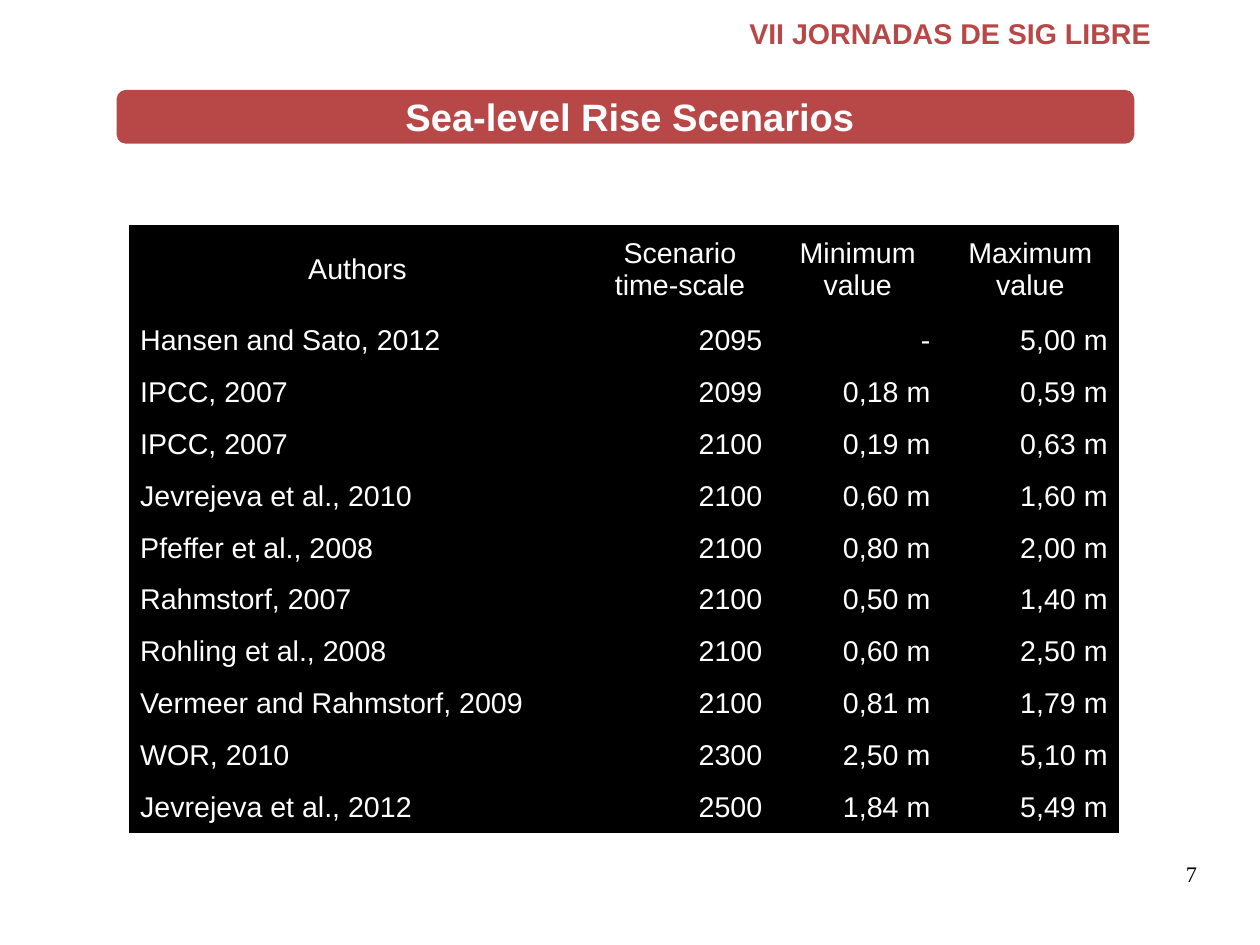
from dataclasses import dataclass

from pptx import Presentation
from pptx.dml.color import RGBColor
from pptx.enum.shapes import MSO_SHAPE
from pptx.enum.text import MSO_ANCHOR, MSO_AUTO_SIZE, PP_ALIGN
from pptx.oxml.ns import qn
from pptx.util import Cm, Inches, Pt

LEFT, CENTER, RIGHT = PP_ALIGN.LEFT, PP_ALIGN.CENTER, PP_ALIGN.RIGHT
TOP, MIDDLE = MSO_ANCHOR.TOP, MSO_ANCHOR.MIDDLE
FIXED, GROW = MSO_AUTO_SIZE.NONE, MSO_AUTO_SIZE.SHAPE_TO_FIT_TEXT
ROUNDED = MSO_SHAPE.ROUNDED_RECTANGLE
SLIDE_WIDTH, SLIDE_HEIGHT = Cm(28), Cm(21)
NO_GRID_STYLE = "{2D5ABB26-0587-4C30-8999-92F81FD0307C}"


@dataclass(frozen=True)
class Theme:
    red: RGBColor = RGBColor(0xB8, 0x47, 0x47)
    white: RGBColor = RGBColor(0xFF, 0xFF, 0xFF)
    black: RGBColor = RGBColor(0, 0, 0)
    sans: str = "Arial"
    serif: str = "Times New Roman"
    title_size: int = 24
    body_size: int = 18
    number_size: int = 14


THEME = Theme()


@dataclass(frozen=True)
class Region:
    left: float
    top: float
    width: float
    height: float

    def box(self) -> tuple[int, int, int, int]:
        return (across(self.left), down(self.top),
                across(self.width), down(self.height))


@dataclass(frozen=True)
class TextStyle:
    size: int
    color: RGBColor
    align: PP_ALIGN
    font: str = THEME.sans
    bold: bool = False


@dataclass(frozen=True)
class Label:
    text: str
    region: Region
    style: TextStyle
    anchor: MSO_ANCHOR = TOP
    wrap: bool = True
    inset: tuple[float, float] = (0, 0)


@dataclass(frozen=True)
class Column:
    heading: str
    width: float
    align: PP_ALIGN


@dataclass(frozen=True)
class Scenario:
    authors: str
    year: str
    minimum: str
    maximum: str

    def values(self) -> list[str]:
        return [self.authors, self.year, self.minimum, self.maximum]


BANNER = Region(9.26, 9.52, 80.76, 5.68)
TABLE = Region(10.22, 23.77, 78.59, 64.45)
HEADING_HEIGHT = 9.55

LABELS = [
    Label("Sea-level Rise Scenarios", Region(4.99, 3.99, 90.02, 16.69),
          TextStyle(THEME.title_size, THEME.white, CENTER, bold=True), MIDDLE),
    Label("VII JORNADAS DE SIG LIBRE", Region(58.58, 1.05, 34, 4.72),
          TextStyle(THEME.body_size, THEME.red, LEFT, bold=True),
          wrap=False, inset=(0.1, 0.05)),
    Label("7", Region(71.69, 91.05, 23.32, 6.89),
          TextStyle(THEME.number_size, THEME.black, RIGHT, THEME.serif)),
]

COLUMNS = [
    Column("Authors", 36.3, LEFT),
    Column("Scenario time-scale", 14.88, RIGHT),
    Column("Minimum value", 13.34, RIGHT),
    Column("Maximum value", 14.07, RIGHT),
]

SCENARIOS = [
    Scenario("Hansen and Sato, 2012", "2095", "-", "5,00 m"),
    Scenario("IPCC, 2007", "2099", "0,18 m", "0,59 m"),
    Scenario("IPCC, 2007", "2100", "0,19 m", "0,63 m"),
    Scenario("Jevrejeva et al., 2010", "2100", "0,60 m", "1,60 m"),
    Scenario("Pfeffer et al., 2008", "2100", "0,80 m", "2,00 m"),
    Scenario("Rahmstorf, 2007", "2100", "0,50 m", "1,40 m"),
    Scenario("Rohling et al., 2008", "2100", "0,60 m", "2,50 m"),
    Scenario("Vermeer and Rahmstorf, 2009", "2100", "0,81 m", "1,79 m"),
    Scenario("WOR, 2010", "2300", "2,50 m", "5,10 m"),
    Scenario("Jevrejeva et al., 2012", "2500", "1,84 m", "5,49 m"),
]


def across(percent: float) -> int:
    return round(SLIDE_WIDTH * percent / 100)


def down(percent: float) -> int:
    return round(SLIDE_HEIGHT * percent / 100)


def write_text(frame, text: str, style: TextStyle) -> None:
    paragraph = frame.paragraphs[0]
    paragraph.text = text
    paragraph.alignment = style.align
    font = paragraph.font
    font.name, font.size, font.bold = style.font, Pt(style.size), style.bold
    font.color.rgb = style.color


def draw_banner(slide) -> None:
    shape = slide.shapes.add_shape(ROUNDED, *BANNER.box())
    shape.shadow.inherit = False
    shape.fill.solid()
    shape.fill.fore_color.rgb = THEME.red
    shape.line.fill.background()


def draw_label(slide, label: Label) -> None:
    frame = slide.shapes.add_textbox(*label.region.box()).text_frame
    frame.auto_size = FIXED if label.wrap else GROW
    frame.word_wrap = label.wrap
    frame.vertical_anchor = label.anchor
    frame.margin_left = frame.margin_right = Inches(label.inset[0])
    frame.margin_top = frame.margin_bottom = Inches(label.inset[1])
    write_text(frame, label.text, label.style)


def draw_table(slide) -> None:
    table = slide.shapes.add_table(
        len(SCENARIOS) + 1, len(COLUMNS), *TABLE.box()).table
    table.horz_banding = False
    table._tbl.tblPr.find(qn("a:tableStyleId")).text = NO_GRID_STYLE
    scenario_height = (TABLE.height - HEADING_HEIGHT) / len(SCENARIOS)
    for index, row in enumerate(table.rows):
        row.height = down(scenario_height if index else HEADING_HEIGHT)
    rows = [[column.heading for column in COLUMNS]]
    rows += [scenario.values() for scenario in SCENARIOS]
    for column_index, column in enumerate(COLUMNS):
        table.columns[column_index].width = across(column.width)
        for row_index, values in enumerate(rows):
            cell = table.cell(row_index, column_index)
            cell.fill.solid()
            cell.fill.fore_color.rgb = THEME.black
            cell.vertical_anchor = MIDDLE
            align = column.align if row_index else CENTER
            write_text(cell.text_frame, values[column_index],
                       TextStyle(THEME.body_size, THEME.white, align))


def main() -> None:
    presentation = Presentation()
    presentation.slide_width = SLIDE_WIDTH
    presentation.slide_height = SLIDE_HEIGHT
    slide = presentation.slides.add_slide(presentation.slide_layouts[6])
    draw_banner(slide)
    draw_table(slide)
    for label in LABELS:
        draw_label(slide, label)
    presentation.save("out.pptx")


if __name__ == "__main__":
    main()
